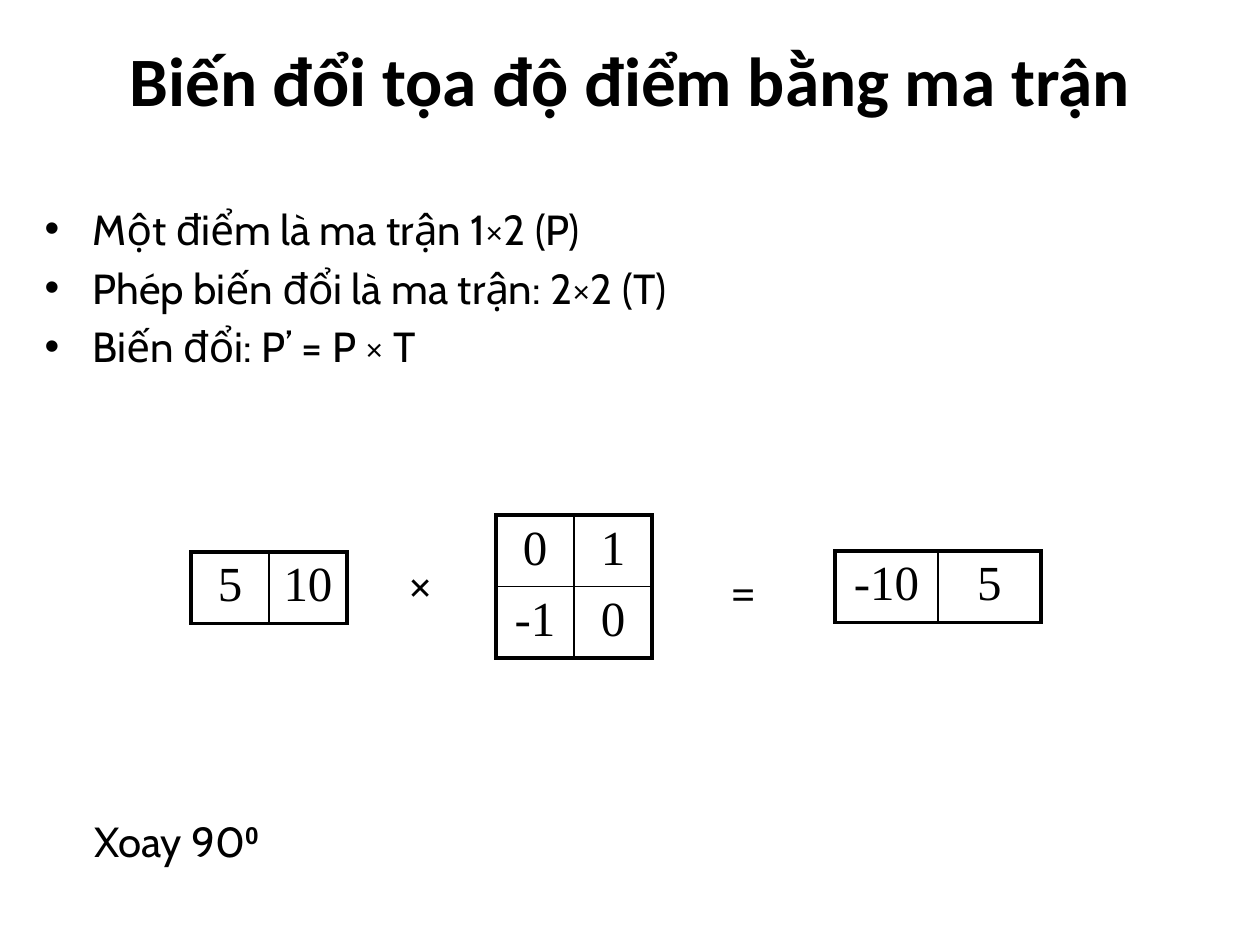
import pptx
import pptx.dml.color
import pptx.enum.text
import pptx.oxml.ns
import pptx.util
from lxml import etree

COLOURS = {"ink": "000000", "paper": "FFFFFF"}
PX = 914400 // 126
ALIGN = pptx.enum.text.PP_ALIGN
ANCHOR = pptx.enum.text.MSO_ANCHOR
FIT = pptx.enum.text.MSO_AUTO_SIZE


def colour(name):
    return pptx.dml.color.RGBColor.from_string(COLOURS[name])


class MatrixSlide:
    text_size = 24
    cell_size = 28
    outer_line = 2.25
    inner_line = 1

    def __init__(self, deck):
        self.page = deck.slides.add_slide(deck.slide_layouts[1])
        self.page.background.fill.solid()
        self.page.background.fill.fore_color.rgb = colour("paper")

    def place(self, box, left, top, width, height):
        box.left, box.top = left * PX, top * PX
        box.width, box.height = width * PX, height * PX

    def span(self, para, text, size, font, bold=False):
        span = para.add_run()
        span.text = text
        span.font.size = pptx.util.Pt(size)
        span.font.name = font
        span.font.bold = bold
        span.font.color.rgb = colour("ink")
        return span

    def title(self, text, *area):
        box = self.page.shapes.title
        self.place(box, *area)
        frame = box.text_frame
        frame.auto_size = FIT.NONE
        frame.vertical_anchor = ANCHOR.MIDDLE
        para = frame.paragraphs[0]
        para.alignment = ALIGN.CENTER
        self.span(para, text, 39.6, "Calibri", True)

    def bullets(self, lines, *area):
        box = self.page.placeholders[1]
        self.place(box, *area)
        frame = box.text_frame
        frame.auto_size = FIT.NONE
        frame.vertical_anchor = ANCHOR.TOP
        for index, line in enumerate(lines):
            para = frame.add_paragraph() if index else frame.paragraphs[0]
            para.alignment = ALIGN.JUSTIFY
            para.space_before = pptx.util.Pt(4.8 if index else 0)
            properties = para._p.get_or_add_pPr()
            properties.set("marL", str(48 * PX))
            properties.set("indent", str(-48 * PX))
            mark = etree.SubElement(properties, pptx.oxml.ns.qn("a:buChar"))
            mark.set("char", "•")
            self.span(para, line, self.text_size, "Cabin")

    def text(self, text, font, bold, *area):
        box = self.page.shapes.add_textbox(*(length * PX for length in area))
        frame = box.text_frame
        frame.word_wrap = True
        frame.auto_size = FIT.SHAPE_TO_FIT_TEXT
        para = frame.paragraphs[0]
        self.span(para, text, self.text_size, font, bold)
        return para

    def superscript(self, para, text):
        span = self.span(para, text, self.text_size, "Arial", True)
        span.font._element.set("baseline", "30000")

    def border(self, cell, side, width):
        properties = cell._tc.get_or_add_tcPr()
        line = etree.SubElement(properties, pptx.oxml.ns.qn("a:ln" + side))
        line.set("w", str(pptx.util.Pt(width)))
        fill = etree.SubElement(line, pptx.oxml.ns.qn("a:solidFill"))
        etree.SubElement(fill, pptx.oxml.ns.qn("a:srgbClr")).set("val", COLOURS["ink"])

    def matrix(self, rows, left, top, column_width, row_height=71):
        row_count, column_count = len(rows), len(rows[0])
        table = self.page.shapes.add_table(
            row_count, column_count, left * PX, top * PX,
            column_count * column_width * PX, row_count * row_height * PX).table
        table.first_row = table.horz_banding = False
        for row_index, row in enumerate(rows):
            for column_index, value in enumerate(row):
                cell = table.cell(row_index, column_index)
                outer = {"L": column_index == 0, "R": column_index == column_count - 1,
                         "T": row_index == 0, "B": row_index == row_count - 1}
                for side, is_outer in outer.items():
                    self.border(cell, side, self.outer_line if is_outer else self.inner_line)
                cell.fill.background()
                para = cell.text_frame.paragraphs[0]
                para.alignment = ALIGN.CENTER
                self.span(para, value, self.cell_size, "Times New Roman")


def main():
    deck = pptx.Presentation()
    deck.slide_width = pptx.util.Inches(10)
    deck.slide_height = pptx.util.Inches(7.5)
    slide = MatrixSlide(deck)
    slide.title("Biến đổi tọa độ điểm bằng ma trận", 63, 0, 1134, 158)
    slide.bullets(["Một điểm là ma trận 1×2 (P)",
                   "Phép biến đổi là ma trận: 2×2 (T)",
                   "Biến đổi: P’ = P × T"], 32, 197, 1155, 203)
    rotation = slide.text("Xoay 90", "Cabin", False, 82, 809, 1094, 63)
    rotation.alignment = ALIGN.JUSTIFY
    slide.superscript(rotation, "0")
    slide.matrix([["5", "10"]], 191, 552, 78)
    slide.matrix([["0", "1"], ["-1", "0"]], 496, 515, 78)
    slide.matrix([["-10", "5"]], 835, 551, 103)
    slide.text("×", "Times New Roman", True, 396, 554, 57, 63)
    slide.text("=", "Times New Roman", True, 719, 561, 57, 63)
    deck.save("out.pptx")


if __name__ == "__main__":
    main()
